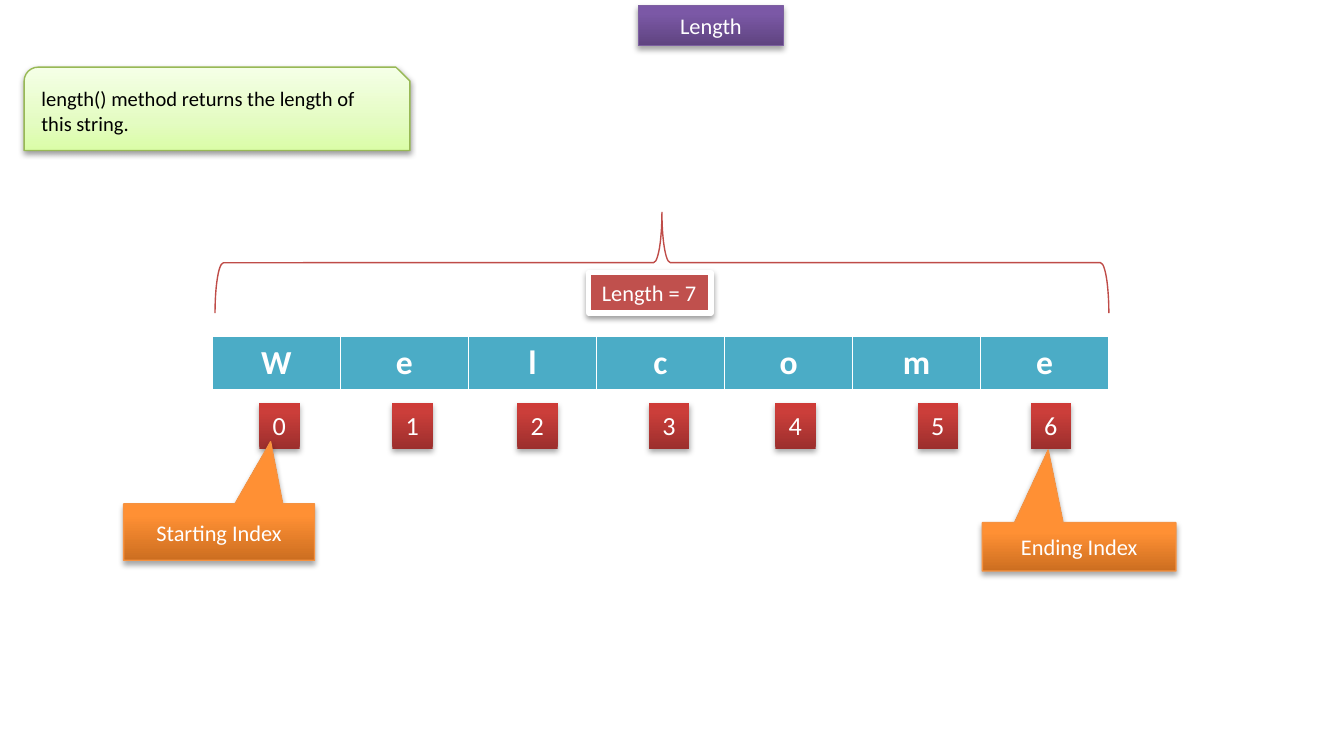
"""Build a slide that explains the length of a string."""
from copy import deepcopy

from lxml.etree import SubElement
from pptx import Presentation
from pptx.dml.color import RGBColor
from pptx.enum.shapes import MSO_SHAPE
from pptx.enum.text import MSO_ANCHOR, MSO_AUTO_SIZE, PP_ALIGN
from pptx.oxml.ns import qn
from pptx.util import Inches, Pt

WHITE = RGBColor(0xFF, 0xFF, 0xFF)
BLACK = RGBColor(0x00, 0x00, 0x00)
TEAL = RGBColor(0x4B, 0xAC, 0xC6)
RED = RGBColor(0xC0, 0x50, 0x4D)
BRACE_RED = RGBColor(0xBF, 0x4C, 0x48)
PURPLE_LINE = RGBColor(0x7D, 0x60, 0xA0)
ORANGE_LINE = RGBColor(0xF6, 0x92, 0x40)
GREEN_LINE = RGBColor(0x98, 0xB9, 0x55)
PURPLE_STOPS = [(0, RGBColor(0x5F, 0x44, 0x80)), (0.8, RGBColor(0x7B, 0x58, 0xA6)),
                (1, RGBColor(0x7C, 0x57, 0xA8))]
RED_STOPS = [(0, RGBColor(0x9C, 0x2F, 0x2D)), (0.8, RGBColor(0xCB, 0x3E, 0x3A)),
             (1, RGBColor(0xCE, 0x3B, 0x37))]
ORANGE_STOPS = [(0, RGBColor(0xCC, 0x6E, 0x20)), (0.8, RGBColor(0xFF, 0x90, 0x34)),
                (1, RGBColor(0xFF, 0x91, 0x36))]
GREEN_STOPS = [(0, RGBColor(0xDA, 0xFD, 0xA7)), (0.35, RGBColor(0xE4, 0xFC, 0xC2)),
               (1, RGBColor(0xF5, 0xFF, 0xE7))]

WORD = "Welcome"
INDEX_LEFTS = [1.93, 2.92, 3.85, 4.83, 5.77, 6.83, 7.67]


def write_text(text_frame, text, size=12, color=WHITE, bold=False, align=PP_ALIGN.CENTER):
    """Put one formatted paragraph into a text frame."""
    paragraph = text_frame.paragraphs[0]
    paragraph.alignment = align
    run = paragraph.add_run()
    run.text = text
    run.font.name = "Calibri"
    run.font.size = Pt(size)
    run.font.bold = bold
    run.font.color.rgb = color


def fill_gradient(shape, stops):
    """Fill a shape with a three-stop gradient that runs upwards."""
    shape.fill.gradient()
    shape.fill.gradient_angle = 90
    stop_list = shape.fill._xPr.find(".//" + qn("a:gsLst"))
    stop_list.append(deepcopy(stop_list[-1]))
    for stop, (position, color) in zip(shape.fill.gradient_stops, stops):
        stop.position = position
        stop.color.rgb = color


def add_shadow(shape, opacity, distance):
    """Give a shape a soft shadow below it."""
    effects = shape._element.spPr.find(qn("a:effectLst"))
    shadow = SubElement(effects, qn("a:outerShdw"), blurRad=str(Pt(3.1)),
                        dist=str(Pt(distance)), dir="5400000", rotWithShape="0")
    color = SubElement(shadow, qn("a:srgbClr"), val="000000")
    SubElement(color, qn("a:alpha"), val=str(opacity * 1000))


def add_box(slide, kind, bounds, fill=None, line=None, line_width=0.75,
            shadow=(35, 1.8), adjustments=()):
    """Add a preset shape with its fill, line and shadow."""
    shape = slide.shapes.add_shape(kind, *map(Inches, bounds))
    shape.shadow.inherit = False
    for index, value in enumerate(adjustments):
        shape.adjustments[index] = value
    if fill is None:
        shape.fill.background()
    elif isinstance(fill, RGBColor):
        shape.fill.solid()
        shape.fill.fore_color.rgb = fill
    else:
        fill_gradient(shape, fill)
    if line is None:
        shape.line.fill.background()
    else:
        shape.line.color.rgb = line
        shape.line.width = Pt(line_width)
    if shadow:
        add_shadow(shape, *shadow)
    shape.text_frame.vertical_anchor = MSO_ANCHOR.MIDDLE
    return shape


def add_label(slide, text, bounds, size=12, wrap=False, align=PP_ALIGN.LEFT, **style):
    """Add a rectangle that fits its text."""
    frame = add_box(slide, MSO_SHAPE.RECTANGLE, bounds, **style).text_frame
    frame.vertical_anchor = MSO_ANCHOR.TOP
    frame.word_wrap = wrap
    frame.auto_size = MSO_AUTO_SIZE.SHAPE_TO_FIT_TEXT
    write_text(frame, text, size=size, align=align)


def add_callout(slide, text, bounds, tip):
    """Add an orange callout that points at an index."""
    shape = add_box(slide, MSO_SHAPE.RECTANGULAR_CALLOUT, bounds, fill=ORANGE_STOPS,
                    line=ORANGE_LINE, adjustments=tip)
    write_text(shape.text_frame, text)


def set_borders(cell):
    """Draw white borders around a cell, the lower one thicker."""
    properties = cell._tc.get_or_add_tcPr()
    for index, (side, width) in enumerate([("L", 1), ("R", 1), ("T", 1), ("B", 3)]):
        border = SubElement(properties, qn("a:ln" + side), w=str(Pt(width)))
        fill = SubElement(border, qn("a:solidFill"))
        SubElement(fill, qn("a:srgbClr"), val=str(WHITE))
        properties.insert(index, border)


def add_letter_table(slide):
    """Add the table with one letter of the word in each cell."""
    frame = slide.shapes.add_table(1, len(WORD), Inches(1.58), Inches(2.5),
                                   Inches(6.67), Inches(0.41))
    for cell, letter in zip(frame.table.rows[0].cells, WORD):
        cell.fill.solid()
        cell.fill.fore_color.rgb = TEAL
        set_borders(cell)
        write_text(cell.text_frame, letter, size=18, bold=True)


def main():
    """Build and save the slide."""
    presentation = Presentation()
    presentation.slide_width = Inches(10)
    presentation.slide_height = Inches(5.5)
    slide = presentation.slides.add_slide(presentation.slide_layouts[6])

    add_label(slide, "Length", (4.75, 0.04, 1.08, 0.3), wrap=True,
              align=PP_ALIGN.CENTER, fill=PURPLE_STOPS, line=PURPLE_LINE)
    add_letter_table(slide)
    for index, left in enumerate(INDEX_LEFTS):
        add_label(slide, str(index), (left, 3, 0.3, 0.34), size=14, fill=RED_STOPS)
    add_callout(slide, "Starting Index", (0.92, 3.75, 1.42, 0.42), (0.27, -1.6))
    add_callout(slide, "Ending Index", (7.31, 3.89, 1.44, 0.36), (-0.16, -2))

    note = add_box(slide, MSO_SHAPE.SNIP_ROUND_RECTANGLE, (0.18, 0.5, 2.87, 0.62),
                   fill=GREEN_STOPS, line=GREEN_LINE, shadow=(38, 1.6))
    write_text(note.text_frame, "length() method returns the length of this string.",
               size=11, color=BLACK, align=PP_ALIGN.LEFT)

    brace = add_box(slide, MSO_SHAPE.LEFT_BRACE, (4.55, -1.37, 0.75, 6.65),
                    line=BRACE_RED, shadow=None)
    brace.rotation = 90
    add_label(slide, "Length = 7", (4.38, 2.03, 0.91, 0.3), fill=RED, line=WHITE,
              line_width=3, shadow=(38, 1.6))
    presentation.save("out.pptx")


if __name__ == "__main__":
    main()
